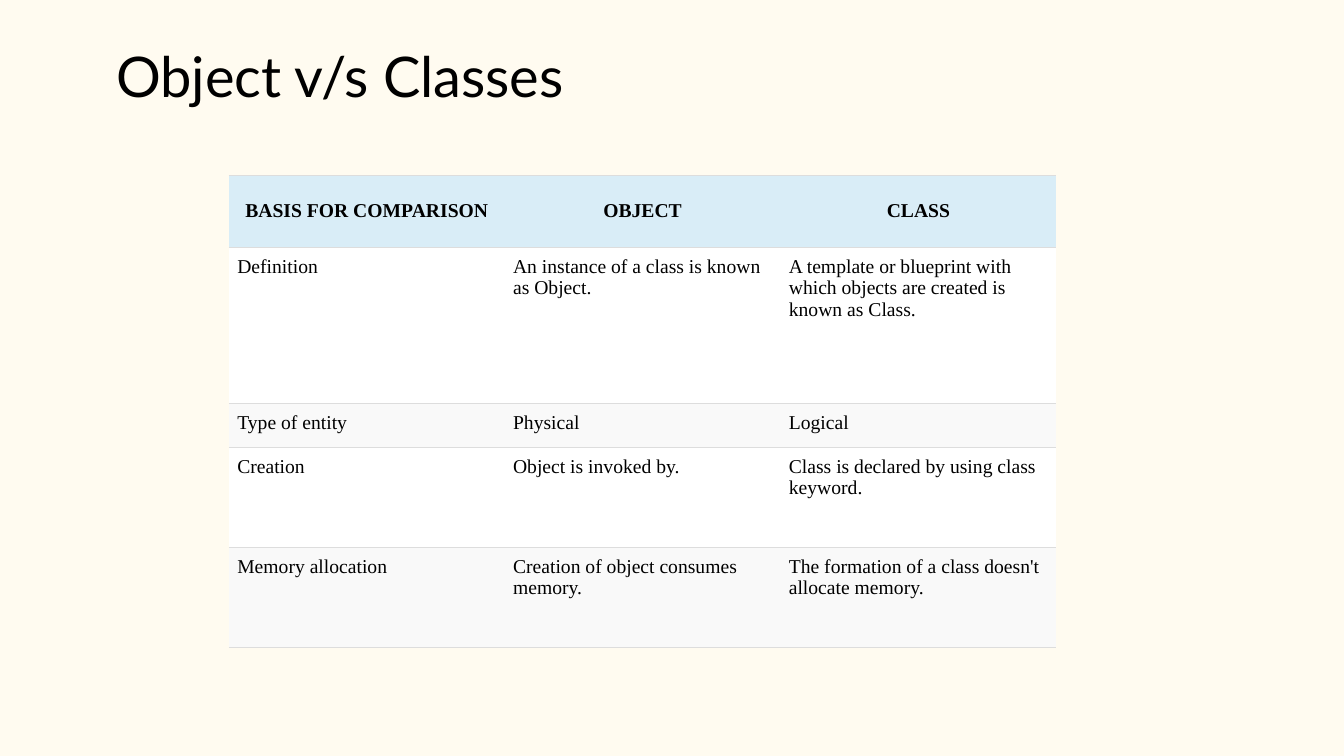
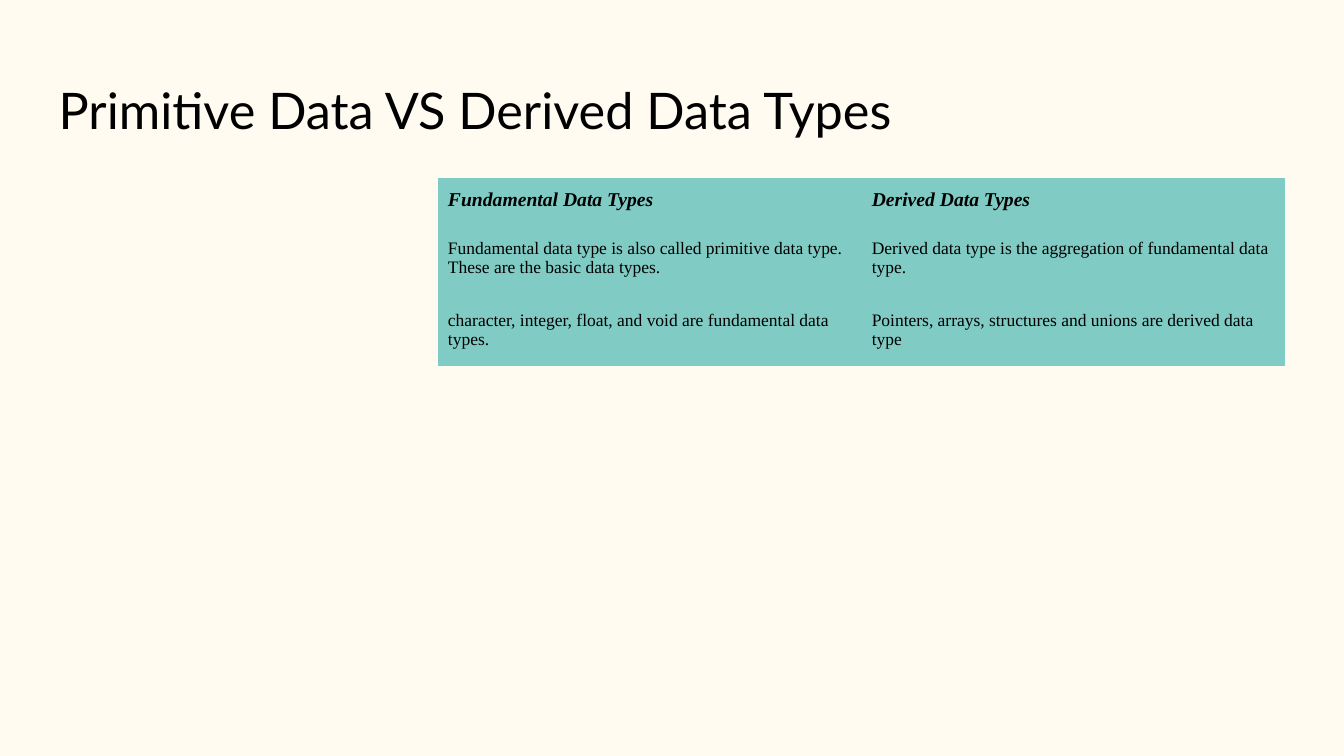
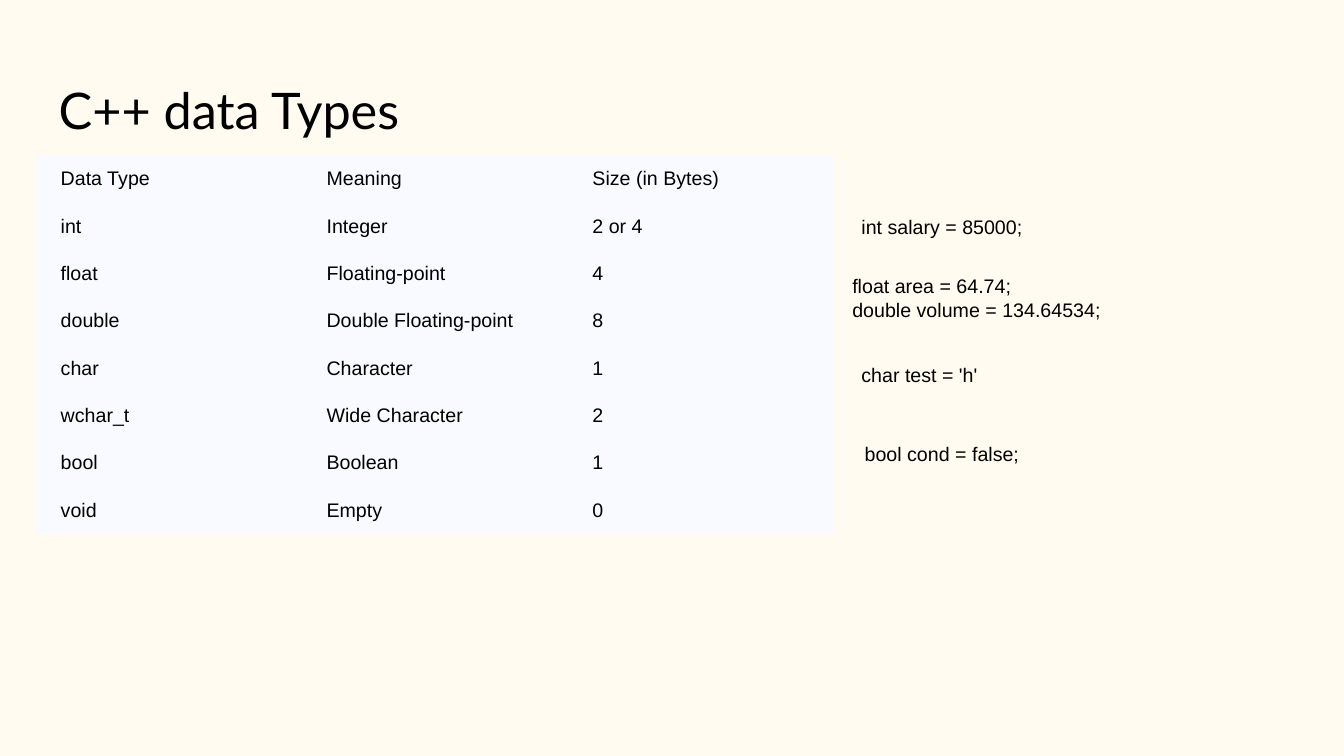
from lxml import etree
from pptx import Presentation
from pptx.dml.color import RGBColor
from pptx.enum.text import MSO_ANCHOR, PP_ALIGN
from pptx.oxml.ns import qn
from pptx.util import Cm, Pt

CENTER = PP_ALIGN.CENTER
LEFT = PP_ALIGN.LEFT
TOP = MSO_ANCHOR.TOP
MIDDLE = MSO_ANCHOR.MIDDLE

CREAM = "FFFBF0"
BLACK = "000000"
WHITE = "FFFFFF"
PALE_BLUE = "D9EDF7"
PALE_GREY = "F9F9F9"
RULE_GREY = "DDDDDD"
TEAL = "80CBC4"
ICE = "F8FAFF"

TITLE_FONT = "Lato"
SERIF = "Times New Roman"
SANS = "Arial"
PLAIN_TABLE_STYLE = "{2D5ABB26-0587-4C30-8999-92F81FD0307C}"

COMPARISON = [
    ("BASIS FOR COMPARISON", "OBJECT", "CLASS"),
    ("Definition", "An instance of a class is known as Object.",
     "A template or blueprint with which objects are created is known as Class."),
    ("Type of entity", "Physical", "Logical"),
    ("Creation", "Object is invoked by.", "Class is declared by using class keyword."),
    ("Memory allocation", "Creation of object consumes memory.",
     "The formation of a class doesn't allocate memory."),
]
DATA_KINDS = [
    ("Fundamental Data Types", "Derived Data Types"),
    ("Fundamental data type is also called primitive data type. These are the basic data types.",
     "Derived data type is the aggregation of fundamental data type."),
    ("character, integer, float, and void are fundamental data types.",
     "Pointers, arrays, structures and unions are derived data type"),
]
CPP_TYPES = [
    ("Data Type", "Meaning", "Size (in Bytes)"),
    ("int", "Integer", "2 or 4"),
    ("float", "Floating-point", "4"),
    ("double", "Double Floating-point", "8"),
    ("char", "Character", "1"),
    ("wchar_t", "Wide Character", "2"),
    ("bool", "Boolean", "1"),
    ("void", "Empty", "0"),
]
DECLARATIONS = [
    (21.46, 5.28, 4.6, 0.86, False, ["int salary = 85000;"]),
    (21.23, 6.78, 8.18, 1.45, True, ["float area = 64.74;", "double volume = 134.64534;"]),
    (21.46, 9.02, 3.45, 0.86, False, ["char test = 'h'"]),
    (21.54, 11, 4.42, 0.86, False, ["bool cond = false;"]),
]


def colour(value):
    """Turn a hex string into a colour."""
    return RGBColor.from_string(value)


def add_span(para, text, font, size, bold=False, italic=False):
    """Add one styled run to a paragraph."""
    span = para.add_run()
    span.text = text
    span.font.name = font
    span.font.size = Pt(size)
    span.font.bold = bold
    span.font.italic = italic
    span.font.color.rgb = colour(BLACK)


def set_margins(target, across, down):
    """Set the inner margins of a text frame or cell."""
    target.margin_left = target.margin_right = Cm(across)
    target.margin_top = target.margin_bottom = Cm(down)


def add_text(page, left, top, width, height, lines, font, size,
             wrap=True, margins=(0.25, 0.13)):
    """Add a text box with one paragraph per line."""
    box = page.shapes.add_textbox(Cm(left), Cm(top), Cm(width), Cm(height))
    frame = box.text_frame
    frame.word_wrap = wrap
    frame.vertical_anchor = TOP
    set_margins(frame, *margins)
    for index, line in enumerate(lines):
        para = frame.add_paragraph() if index else frame.paragraphs[0]
        add_span(para, line, font, size)


def add_page(deck, title, left=1.14, top=1.65, width=31.55, height=2.26, size=36):
    """Add a blank page with its title."""
    page = deck.slides.add_slide(deck.slide_layouts[6])
    add_text(page, left, top, width, height, [title], TITLE_FONT, size, margins=(0.34, 0.34))
    return page


def add_grid(page, left, top, column_width, row_heights, rows):
    """Add an unstyled table with equal columns and return it."""
    columns = len(rows[0])
    table = page.shapes.add_table(
        len(rows), columns, Cm(left), Cm(top),
        Cm(column_width * columns), Cm(sum(row_heights))).table
    table.first_row = False
    table.horz_banding = False
    table._tbl.tblPr.find(qn("a:tableStyleId")).text = PLAIN_TABLE_STYLE
    for column in table.columns:
        column.width = Cm(column_width)
    for row, height in zip(table.rows, row_heights):
        row.height = Cm(height)
    return table


def fill_row(row, texts, fill, font, size, margins, anchor=MIDDLE,
             align=LEFT, bold=False, italic=False):
    """Write and style the cells of one table row."""
    for cell, text in zip(row.cells, texts):
        cell.fill.solid()
        cell.fill.fore_color.rgb = colour(fill)
        cell.vertical_anchor = anchor
        set_margins(cell, *margins)
        para = cell.text_frame.paragraphs[0]
        para.alignment = align
        add_span(para, text, font, size, bold, italic)


def rule_row(row, value):
    """Draw thin rules above and below a table row."""
    for cell in row.cells:
        properties = cell._tc.get_or_add_tcPr()
        for index, side in enumerate(("a:lnT", "a:lnB")):
            line = etree.Element(qn(side), w=str(Pt(0.75)))
            paint = etree.SubElement(line, qn("a:solidFill"))
            etree.SubElement(paint, qn("a:srgbClr"), val=value)
            properties.insert(index, line)


def build_comparison(deck):
    """Build the page that compares objects and classes."""
    page = add_page(deck, "Object v/s Classes", 2.59, 0.71, 27.94, 3.81, 40)
    table = add_grid(page, 5.77, 4.42, 6.95, [1.81, 3.94, 1.1, 2.52, 2.52], COMPARISON)
    for index, (row, texts) in enumerate(zip(table.rows, COMPARISON)):
        if index == 0:
            fill_row(row, texts, PALE_BLUE, SERIF, 14, (0.21, 0.21), align=CENTER, bold=True)
        else:
            fill = WHITE if index % 2 else PALE_GREY
            fill_row(row, texts, fill, SERIF, 14, (0.21, 0.21), anchor=TOP)
        rule_row(row, RULE_GREY)


def build_data_kinds(deck):
    """Build the page on primitive and derived data types."""
    page = add_page(deck, "Primitive Data VS Derived Data Types")
    table = add_grid(page, 11.03, 4.48, 10.68, [1.05, 1.71, 1.71], DATA_KINDS)
    for index, (row, texts) in enumerate(zip(table.rows, DATA_KINDS)):
        if index == 0:
            fill_row(row, texts, TEAL, SERIF, 14, (0.26, 0.26), bold=True, italic=True)
        else:
            fill_row(row, texts, TEAL, SERIF, 12.5, (0.26, 0.38))


def build_cpp_types(deck):
    """Build the page that lists the C++ data types."""
    page = add_page(deck, "C++ data Types")
    table = add_grid(page, 0.89, 3.91, 6.7, [1.19] * len(CPP_TYPES), CPP_TYPES)
    for row, texts in zip(table.rows, CPP_TYPES):
        fill_row(row, texts, ICE, SANS, 14, (0.64, 0.3))
    for left, top, width, height, wrap, lines in DECLARATIONS:
        add_text(page, left, top, width, height, lines, SANS, 14, wrap)


def main():
    """Build and save the deck."""
    deck = Presentation()
    deck.slide_width = Cm(33.87)
    deck.slide_height = Cm(19.05)
    backdrop = deck.slide_master.background.fill
    backdrop.solid()
    backdrop.fore_color.rgb = colour(CREAM)
    build_comparison(deck)
    build_data_kinds(deck)
    build_cpp_types(deck)
    deck.save("out.pptx")


if __name__ == "__main__":
    main()
